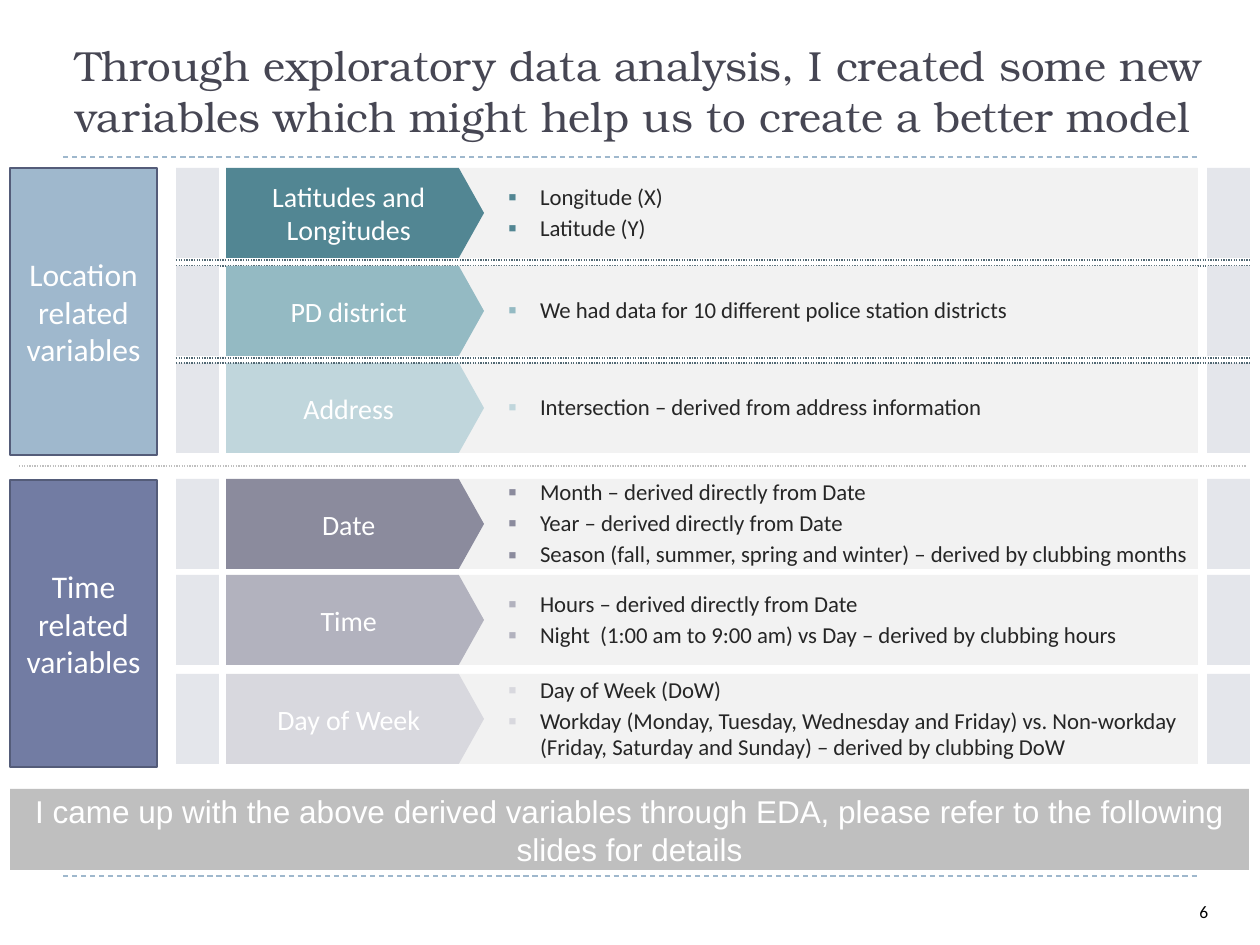
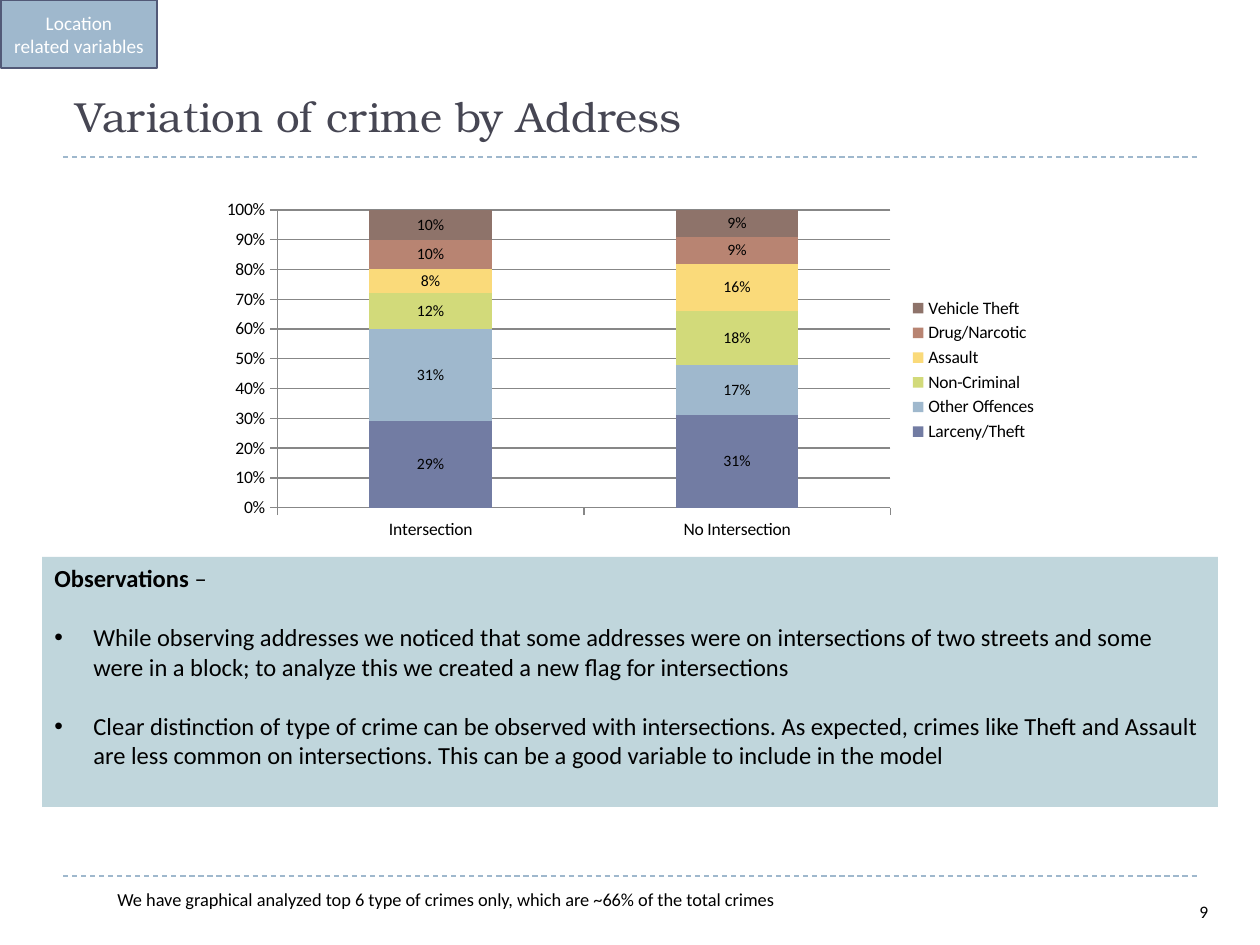
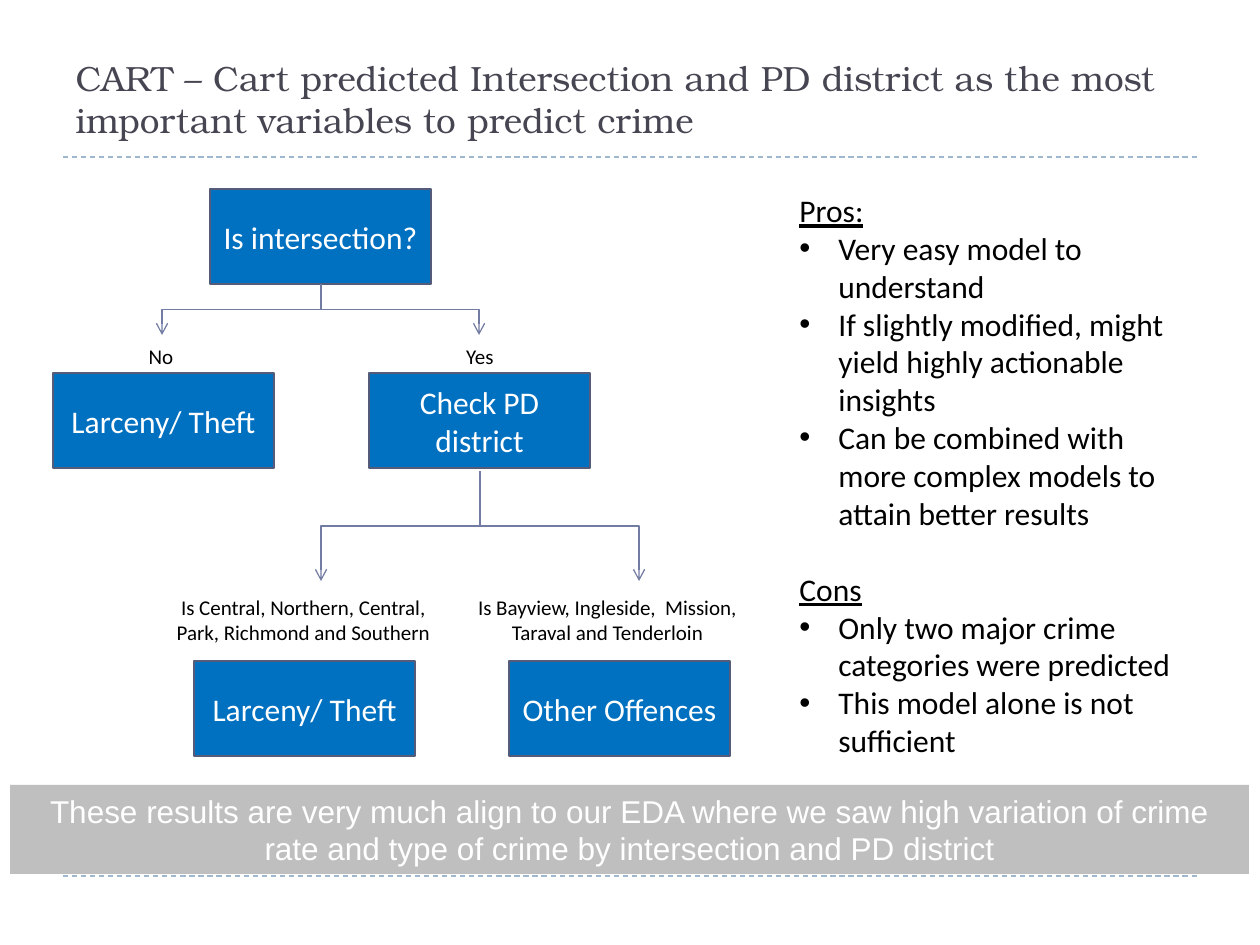
from dataclasses import dataclass, field

from lxml.etree import SubElement
from pptx import Presentation
from pptx.chart.data import CategoryChartData
from pptx.dml.color import RGBColor
from pptx.enum.chart import XL_CHART_TYPE, XL_LEGEND_POSITION, XL_TICK_MARK
from pptx.enum.dml import MSO_LINE
from pptx.enum.shapes import MSO_CONNECTOR, MSO_SHAPE
from pptx.enum.text import MSO_ANCHOR, MSO_AUTO_SIZE, PP_ALIGN
from pptx.oxml.ns import qn
from pptx.util import Emu, Pt

PX_PER_INCH = 126
SLATE, SKY, TEAL = "727CA3", "9FB8CD", "C0D6DC"
BORDER, WHITE, BLACK, SILVER = "545C79", "FFFFFF", "000000", "BFBFBF"
BODY, HEADING, BAND = "Calibri", "TeX Gyre Bonum", "Arial"

MIDDLE = {"vertical_anchor": MSO_ANCHOR.MIDDLE}
TOP = {"vertical_anchor": MSO_ANCHOR.TOP}
CENTER = {"alignment": PP_ALIGN.CENTER}
LEFT = {"alignment": PP_ALIGN.LEFT}


@dataclass
class Line:
    text: str
    bullet: str = ""
    bullet_color: str = ""
    values: dict = field(default_factory=dict)
    font: dict = field(default_factory=dict)
    ending: str = ""


def px(length):
    return Emu(round(length * 914400 / PX_PER_INCH))


def rgb(value):
    return RGBColor.from_string(value)


def assign(target, values):
    for name, value in values.items():
        setattr(target, name, value)


def style_font(font, size, color, name=BODY, **extra):
    assign(font, {"size": Pt(size), "name": name, **extra})
    font.color.rgb = rgb(color)


def add_bullet(para, line, indent):
    properties = para._p.get_or_add_pPr()
    properties.set("marL", str(px(indent)))
    properties.set("indent", str(-px(indent)))
    if line.bullet_color:
        color = SubElement(properties, qn("a:buClr"))
        SubElement(color, qn("a:srgbClr"), val=line.bullet_color)
        SubElement(properties, qn("a:buSzPct"), val="110000")
    SubElement(properties, qn("a:buFont"), typeface="Arial")
    SubElement(properties, qn("a:buChar"), char=line.bullet)


def write(shape, lines, size, color, name=BODY, para_values=LEFT, frame_values=TOP, indent=39):
    frame = shape.text_frame
    assign(frame, {"word_wrap": True, "auto_size": MSO_AUTO_SIZE.NONE, **frame_values})
    for index, line in enumerate(lines):
        para = frame.paragraphs[0] if index == 0 else frame.add_paragraph()
        assign(para, {**para_values, **line.values})
        if line.bullet:
            add_bullet(para, line, indent)
        span = para.add_run()
        span.text = line.text
        style_font(span.font, size, color, name, **line.font)
        if line.ending:
            span = para.add_run()
            span.text = line.ending
            style_font(span.font, size, color, name)


def add_block(holder, place, fill, border=None, kind=MSO_SHAPE.RECTANGLE):
    block = holder.shapes.add_shape(kind, *map(px, place))
    block.shadow.inherit = False
    block.fill.solid()
    block.fill.fore_color.rgb = rgb(fill)
    if border:
        block.line.color.rgb = rgb(border)
        block.line.width = Pt(1.5)
    else:
        block.line.fill.background()
    return block


def add_label_block(holder, place, fill, texts, size, border=None, name=BODY,
                    kind=MSO_SHAPE.RECTANGLE):
    block = add_block(holder, place, fill, border, kind)
    write(block, [Line(text) for text in texts], size, WHITE, name, CENTER, MIDDLE)
    return block


def add_text(holder, place, lines, size, color=BLACK, **layout):
    box = holder.shapes.add_textbox(*map(px, place))
    write(box, lines, size, color, **layout)
    return box


def add_line(page, start, end, color, dash=None, kind=MSO_CONNECTOR.STRAIGHT):
    line = page.shapes.add_connector(kind, *map(px, (*start, *end)))
    line.line.color.rgb = rgb(color)
    assign(line.line, {"width": Pt(0.75), "dash_style": dash})
    SubElement(line._element.spPr, qn("a:effectLst"))
    return line


def add_dotted_line(page, left, right, y, color):
    add_line(page, (left, y), (right, y), color, MSO_LINE.ROUND_DOT)


def add_branch(page, start, end):
    branch = add_line(page, start, end, SLATE, kind=MSO_CONNECTOR.ELBOW)
    run, drop = abs(end[0] - start[0]), end[1] - start[1]
    center_x, center_y = (start[0] + end[0]) / 2, (start[1] + end[1]) / 2
    assign(branch, {"left": px(center_x - drop / 2), "top": px(center_y - run / 2),
                    "width": px(drop), "height": px(run)})
    rightward = end[0] > start[0]
    frame = branch._element.spPr.find(qn("a:xfrm"))
    frame.set("rot", str((270 if rightward else 90) * 60000))
    frame.set("flipH", "1" if rightward else "0")
    SubElement(branch.line._get_or_add_ln(), qn("a:tailEnd"), type="arrow")


def add_frame_rules(deck, page):
    for y in (157, 876):
        rule = add_line(page, (63, y), (1197, y), SKY, MSO_LINE.DASH)
        deck.slide_layouts[5].shapes.element.append(rule._element)


def add_page(deck, title, size=24, width=1134):
    page = deck.slides.add_slide(deck.slide_layouts[5])
    heading = page.shapes.title
    assign(heading, {"left": px(63), "top": px(0), "width": px(width), "height": px(147)})
    write(heading, [Line(title)], size, "464653", HEADING,
          frame_values={"vertical_anchor": MSO_ANCHOR.BOTTOM})
    return page


def add_page_number(page, number):
    add_text(page, (1187, 895, 59, 50), [Line(str(number))], 10)


def add_takeaway(page, top, height, text):
    add_label_block(page, (10, top, 1239, height), SILVER, [text], 18, name=BAND)


def add_variable_row(page, top, color, label, facts):
    height = 90
    row = page.shapes.add_group_shape()
    for left in (176, 1207):
        add_block(row, (left, top, 43, height), "E4E6EB")
    add_block(row, (431, top, 767, height), "F2F2F2")
    add_text(row, (495, top + 12, 697, 66), [Line(fact, "▪", color) for fact in facts], 13,
             "262626", indent=32,
             para_values={**LEFT, "line_spacing": 0.95, "space_before": Pt(3)},
             frame_values={**MIDDLE, "margin_left": px(13), "margin_right": 0,
                           "margin_top": 0, "margin_bottom": 0})
    arrow = add_label_block(row, (226, top, 258, height), color, [label], 16,
                            kind=MSO_SHAPE.PENTAGON)
    arrow.adjustments[0] = 0.28


def build_variables(deck):
    page = add_page(deck, "Through exploratory data analysis, I created some new variables "
                    "which might help us to create a better model", width=1166)
    add_frame_rules(deck, page)
    for y in (260, 266, 358):
        add_dotted_line(page, 176, 1250, y, "506772")
    rows = [
        (168, "528693", "Latitudes and Longitudes", ["Longitude (X)", "Latitude (Y)"]),
        (266, "94BAC3", "PD district",
         ["We had data for 10 different police station districts"]),
        (363, TEAL, "Address", ["Intersection – derived from address information"]),
        (479, "8B8B9D", "Date",
         ["Month – derived directly from Date", "Year – derived directly from Date",
          "Season (fall, summer, spring and winter) – derived by clubbing months"]),
        (575, "B2B2BE", "Time",
         ["Hours – derived directly from Date",
          "Night  (1:00 am to 9:00 am) vs Day – derived by clubbing hours"]),
        (674, "D8D8DE", "Day of Week",
         ["Day of Week (DoW)",
          "Workday (Monday, Tuesday, Wednesday and Friday) vs. Non-workday "
          "(Friday, Saturday and Sunday) – derived by clubbing DoW"]),
    ]
    for row in rows:
        add_variable_row(page, *row)
    add_dotted_line(page, 176, 1250, 363, "506772")
    add_label_block(page, (10, 480, 147, 287), SLATE, ["Time related variables"], 18, BORDER)
    add_label_block(page, (10, 168, 147, 287), SKY, ["Location", "related variables"], 18, BORDER)
    add_takeaway(page, 789, 81, "I came up with the above derived variables through EDA, "
                 "please refer to the following slides for details")
    add_page_number(page, 6)
    add_dotted_line(page, 19, 1246, 466, "C0C0C0")


def add_crime_chart(page):
    series = [
        ("Larceny/Theft", SLATE, (0.29, 0.31)),
        ("Other Offences", SKY, (0.31, 0.17)),
        ("Non-Criminal", "D2DA7A", (0.12, 0.18)),
        ("Assault", "FADA7A", (0.08, 0.16)),
        ("Drug/Narcotic", "B88472", (0.1, 0.09)),
        ("Vehicle Theft", "8E736A", (0.1, 0.09)),
    ]
    data = CategoryChartData(number_format="0%")
    data.categories = ["Intersection", "No Intersection"]
    for name, _, values in series:
        data.add_series(name, values)
    chart = page.shapes.add_chart(XL_CHART_TYPE.COLUMN_STACKED_100,
                                  *map(px, (210, 193, 840, 354)), data).chart
    assign(chart, {"has_title": False, "has_legend": True})
    style_font(chart.font, 18, BLACK)
    assign(chart.legend, {"position": XL_LEGEND_POSITION.RIGHT, "include_in_layout": False})
    style_font(chart.legend.font, 10, BLACK)
    plot = chart.plots[0]
    assign(plot, {"gap_width": 150, "overlap": 100, "vary_by_categories": False,
                  "has_data_labels": True})
    assign(plot.data_labels, {"show_value": True, "number_format": "0%",
                              "number_format_is_linked": False})
    style_font(plot.data_labels.font, 9, BLACK)
    for bars, (_, color, _) in zip(plot.series, series):
        bars.format.fill.solid()
        bars.format.fill.fore_color.rgb = rgb(color)
    for axis in (chart.category_axis, chart.value_axis):
        assign(axis, {"major_tick_mark": XL_TICK_MARK.OUTSIDE,
                      "minor_tick_mark": XL_TICK_MARK.NONE})
        axis.format.line.color.rgb = rgb("878787")
        style_font(axis.tick_labels.font, 10, BLACK)
    value_axis = chart.value_axis
    assign(value_axis, {"has_major_gridlines": True, "minimum_scale": 0,
                        "maximum_scale": 1, "major_unit": 0.1})
    value_axis.major_gridlines.format.line.color.rgb = rgb("878787")
    assign(value_axis.tick_labels, {"number_format": "0%", "number_format_is_linked": False})


def build_address(deck):
    page = add_page(deck, "Variation of crime by Address")
    add_label_block(page, (1, 0, 156, 68), SKY, ["Location", "related variables"], 11, "525977")
    add_crime_chart(page)
    gap = {"space_before": Pt(17)}
    observations = [
        Line("Observations ", font={"bold": True}, ending="–"),
        Line("While observing addresses we noticed that some addresses were on intersections of "
             "two streets and some were in a block; to analyze this we created a new flag for "
             "intersections", "•", values=gap),
        Line("Clear distinction of type of crime can be observed with intersections. As expected, "
             "crimes like Theft and Assault are less common on intersections. This can be a good "
             "variable to include in the model", "•", values=gap),
    ]
    write(add_block(page, (42, 557, 1176, 250), TEAL), observations, 14, BLACK)
    add_page_number(page, 9)
    add_text(page, (105, 882, 1092, 35),
             [Line("We have graphical analyzed top 6 type of crimes only, which are ~66% of the "
                   "total crimes")], 10.5)


def build_tree(deck):
    page = add_page(deck, "CART – Cart predicted Intersection and PD district as the most "
                    "important variables to predict crime", 20)
    nodes = [
        (210, 189, "Is intersection?"),
        (53, 373, "Larceny/ Theft"),
        (369, 373, "Check PD district"),
        (194, 661, "Larceny/ Theft"),
        (509, 661, "Other Offences"),
    ]
    for left, top, text in nodes:
        add_label_block(page, (left, top, 221, 95), "0070C0", [text], 18, BORDER)
    answers = [
        ((160, 588, 287, 64), "Is Central, Northern, Central, Park, Richmond and Southern"),
        ((54, 337, 214, 37), "No"),
        ((373, 337, 214, 37), "Yes"),
        ((464, 588, 287, 64), "Is Bayview, Ingleside,  Mission, Taraval and Tenderloin"),
    ]
    for place, text in answers:
        add_text(page, place, [Line(text)], 12, para_values=CENTER)
    for start, ends in (((321, 284), ((162, 335), (479, 335))),
                        ((480, 471), ((321, 581), (639, 581)))):
        for end in ends:
            add_branch(page, start, end)
    heading = {"underline": True}
    add_text(page, (787, 185, 420, 624), [
        Line("Pros:", font=heading),
        Line("Very easy model to understand", "•"),
        Line("If slightly modified, might yield highly actionable insights", "•"),
        Line("Can be combined with more complex models to attain better results", "•"),
        Line("Cons", font=heading, values={"space_before": Pt(22)}),
        Line("Only two major crime categories were predicted", "•"),
        Line("This model alone is not sufficient", "•"),
    ], 18)
    add_takeaway(page, 785, 89, "These results are very much align to our EDA where we saw high "
                 "variation of crime rate and type of crime by intersection and PD district")


def main():
    deck = Presentation()
    assign(deck, {"slide_width": px(1260), "slide_height": px(945)})
    build_variables(deck)
    build_address(deck)
    build_tree(deck)
    deck.save("out.pptx")


if __name__ == "__main__":
    main()
